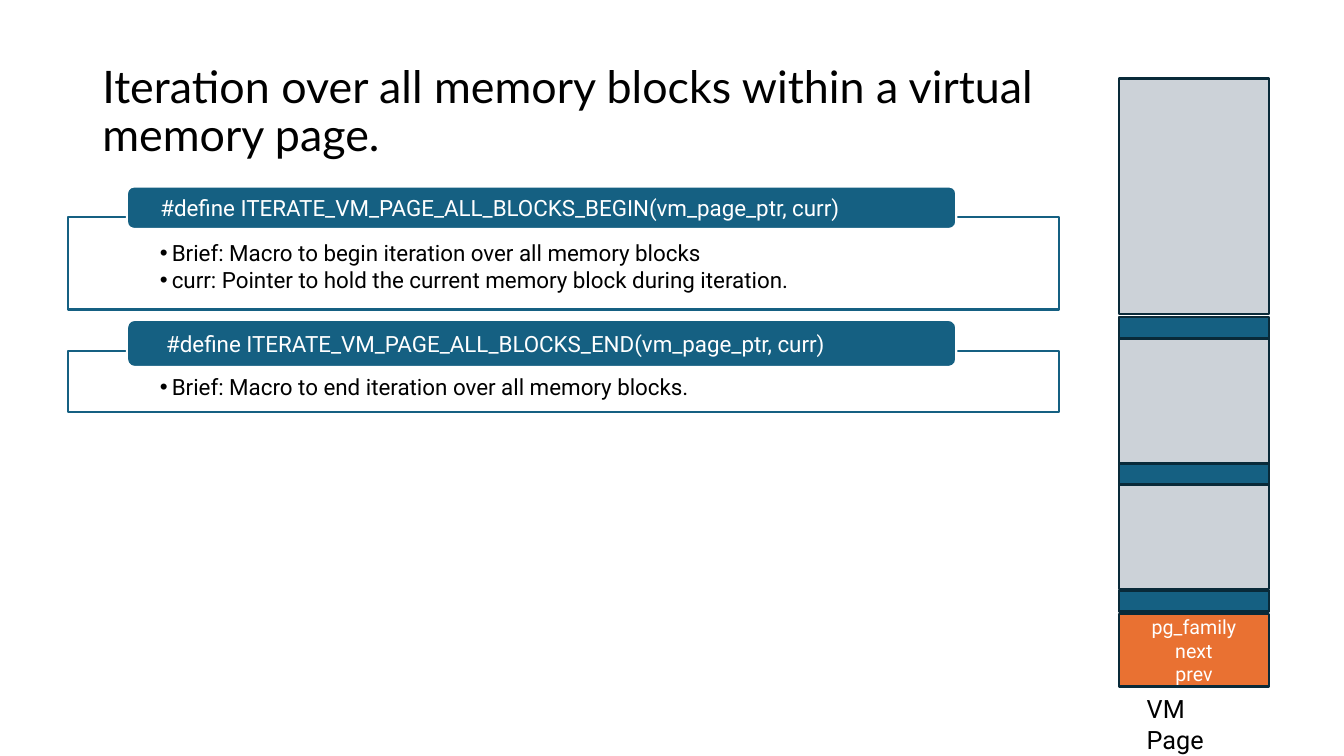
from dataclasses import dataclass

from lxml.etree import SubElement
from pptx import Presentation
from pptx.dml.color import RGBColor as Rgb
from pptx.enum.shapes import MSO_SHAPE as Shape
from pptx.enum.text import MSO_ANCHOR as Anchor, MSO_AUTO_SIZE as AutoSize, PP_ALIGN as Align
from pptx.oxml.ns import qn
from pptx.util import Cm, Pt


@dataclass(frozen=True)
class Theme:
    title_font: str = "Lato"
    text_font: str = "Roboto"
    title_size: int = 32
    caption_size: int = 18
    macro_size: int = 16
    field_size: int = 14
    line_width: float = 1.5
    black: Rgb = Rgb.from_string("000000")
    white: Rgb = Rgb.from_string("FFFFFF")
    blue: Rgb = Rgb.from_string("156082")
    navy: Rgb = Rgb.from_string("092A39")
    grey: Rgb = Rgb.from_string("CCD2D8")
    orange: Rgb = Rgb.from_string("E97132")


class SlideBuilder:
    def __init__(self, slide, theme):
        self.slide = slide
        self.theme = theme

    def place(self, item, left, top, width, height):
        item.left, item.top = Cm(left), Cm(top)
        item.width, item.height = Cm(width), Cm(height)

    def paint(self, item, fill, line):
        item.fill.solid()
        item.fill.fore_color.rgb = fill
        item.line.color.rgb = line
        item.line.width = Pt(self.theme.line_width)

    def add_bullet(self, paragraph):
        properties = paragraph._p.get_or_add_pPr()
        properties.set("marL", str(Cm(0.3)))
        properties.set("indent", str(Cm(-0.3)))
        SubElement(properties, qn("a:buChar"), char="•")

    def set_text(self, item, lines, size, color, font=None, align=Align.LEFT,
                 anchor=Anchor.TOP, insets=(0.25, 0.13, 0.25, 0.13), bulleted=False):
        frame = item.text_frame
        frame.text = "\n".join(lines)
        frame.word_wrap = True
        frame.auto_size = AutoSize.NONE
        frame.vertical_anchor = anchor
        (frame.margin_left, frame.margin_top,
         frame.margin_right, frame.margin_bottom) = map(Cm, insets)
        for paragraph in frame.paragraphs:
            if bulleted:
                self.add_bullet(paragraph)
            paragraph.alignment = align
            paragraph.font.name = font or self.theme.text_font
            paragraph.font.size = Pt(size)
            paragraph.font.color.rgb = color
        return frame.paragraphs

    def title(self, text, *box):
        title = self.slide.shapes.title
        self.place(title, *box)
        heading, = self.set_text(title, [text], self.theme.title_size, self.theme.black,
                                 font=self.theme.title_font, anchor=Anchor.MIDDLE)
        heading.line_spacing = 0.9

    def bullet_panel(self, panel, lines, *box):
        self.place(panel, *box)
        self.paint(panel, self.theme.white, self.theme.blue)
        paragraphs = self.set_text(panel, lines, self.theme.macro_size, self.theme.black,
                                   insets=(2.31, 0.64, 2.31, 0.28), bulleted=True)
        for paragraph in paragraphs:
            paragraph.line_spacing = 0.9
            paragraph.space_before = Pt(0)
            paragraph.space_after = Pt(2.4)

    def shape(self, kind, fill, line, *box):
        shape = self.slide.shapes.add_shape(kind, *map(Cm, box))
        shape.shadow.inherit = False
        self.paint(shape, fill, line)
        return shape

    def macro_header(self, code, *box):
        header = self.shape(Shape.ROUNDED_RECTANGLE, self.theme.blue, self.theme.white, *box)
        self.set_text(header, [code], self.theme.macro_size, self.theme.white,
                      anchor=Anchor.MIDDLE, insets=(0.79, 0.05, 0.79, 0.05))

    def page_block(self, fill, *box, fields=()):
        block = self.shape(Shape.RECTANGLE, fill, self.theme.navy, *box)
        if fields:
            self.set_text(block, fields, self.theme.field_size, self.theme.white,
                          align=Align.CENTER, anchor=Anchor.MIDDLE)

    def caption(self, text, *box):
        caption = self.slide.shapes.add_textbox(*map(Cm, box))
        self.set_text(caption, [text], self.theme.caption_size, self.theme.black)


def main():
    deck = Presentation()
    deck.slide_width, deck.slide_height = Cm(33.87), Cm(19.05)
    theme = Theme()
    slide = deck.slides.add_slide(deck.slide_layouts.get_by_name("Two Content"))
    builder = SlideBuilder(slide, theme)

    builder.title("Iteration over all memory blocks within a virtual memory page.",
                  2.33, 1.01, 25.2, 3.68)

    # Macro descriptions: code, bullets, header top and height, panel top and height
    macros = [
        ("#define ITERATE_VM_PAGE_ALL_BLOCKS_BEGIN(vm_page_ptr, curr)",
         ["Brief: Macro to begin iteration over all memory blocks",
          "curr: Pointer to hold the current memory block during iteration."],
         (4.7, 1.07), (5.46, 2.34)),
        (" #define ITERATE_VM_PAGE_ALL_BLOCKS_END(vm_page_ptr, curr)",
         ["Brief: Macro to end iteration over all memory blocks."],
         (8.06, 1.19), (8.84, 1.55)),
    ]
    panels = list(slide.placeholders)[1:]
    for panel, (code, bullets, header_span, panel_span) in zip(panels, macros):
        panel_top, panel_height = panel_span
        builder.bullet_panel(panel, bullets, 1.72, panel_top, 24.98, panel_height)
        header_top, header_height = header_span
        builder.macro_header(code, 3.2, header_top, 20.9, header_height)

    # Virtual memory page: data blocks, meta blocks and page header
    page_left, page_width = 28.2, 3.78
    data_blocks = [(1.98, 5.94), (8.53, 3.17), (12.22, 2.62)]
    meta_tops = [7.98, 11.68, 14.88]
    for top, height in data_blocks:
        builder.page_block(theme.grey, page_left, top, page_width, height)
    for top in meta_tops:
        builder.page_block(theme.blue, page_left, top, page_width, 0.53)
    builder.page_block(theme.orange, page_left, 15.47, page_width, 1.83,
                       fields=["pg_family", "next", "prev"])
    builder.caption("VM Page", 28.65, 17.35, 2.4, 1.02)

    deck.save("out.pptx")


if __name__ == "__main__":
    main()
